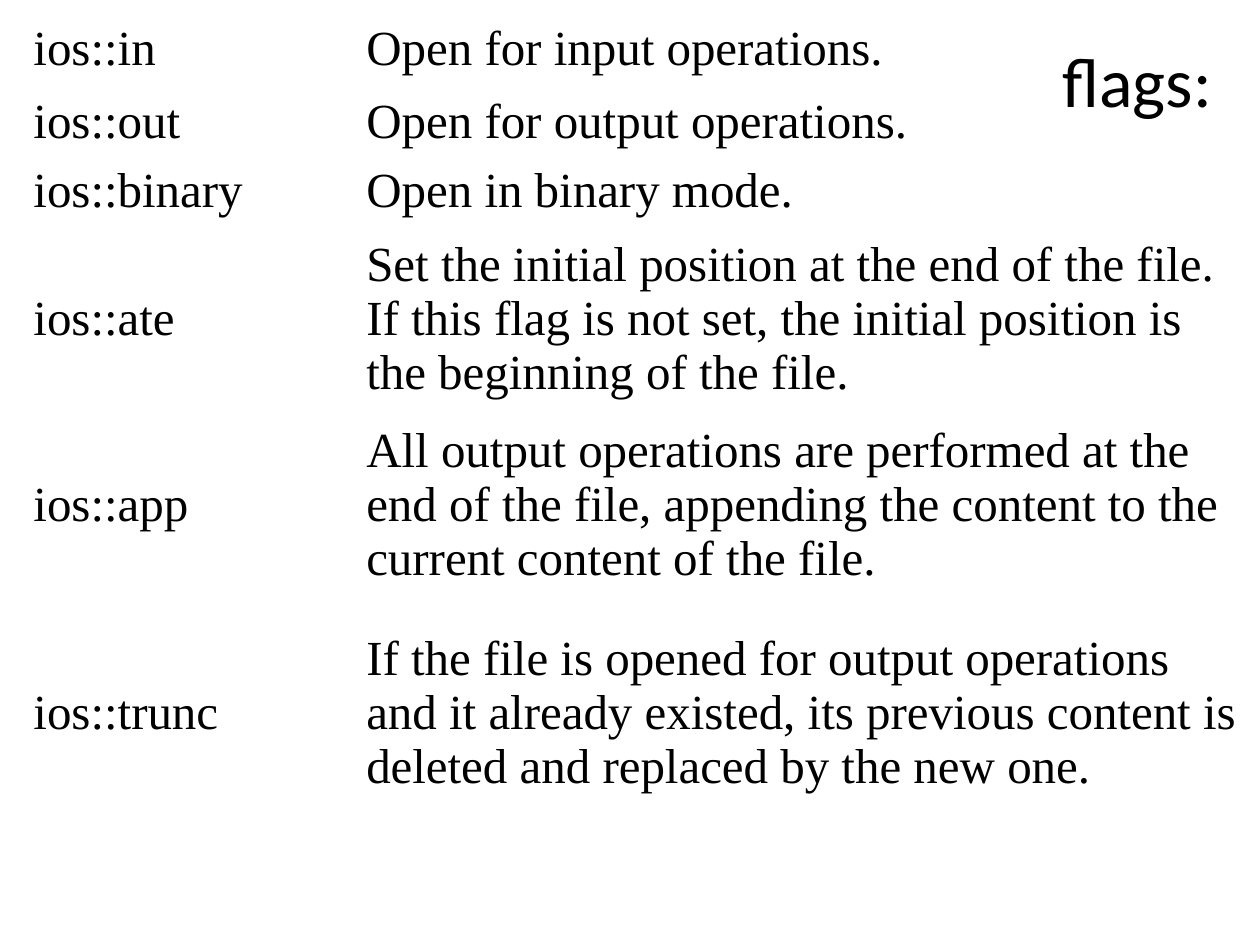
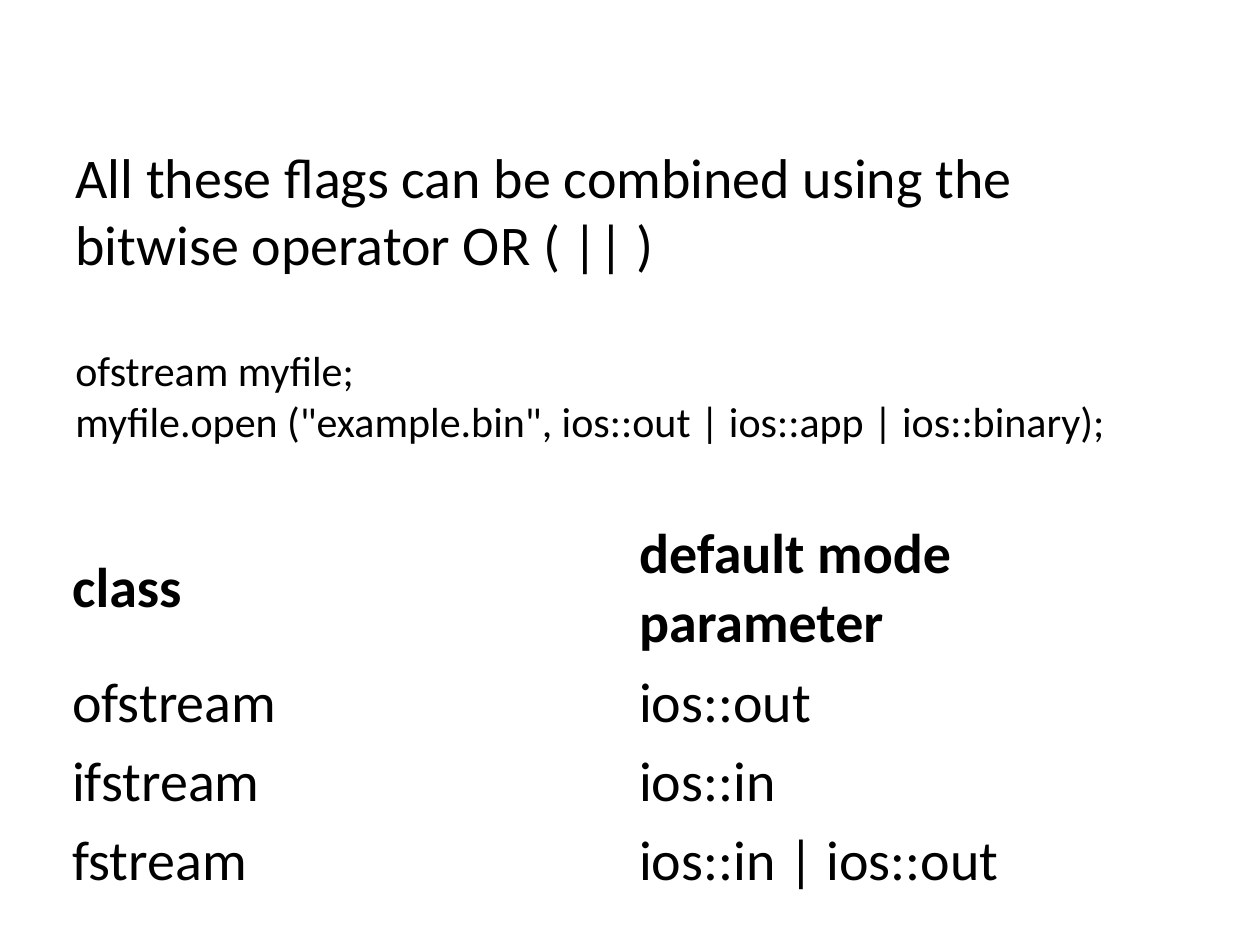
import pptx
import pptx.util
import pptx.dml.color
import pptx.enum.text
import pptx.oxml.ns

Cm = pptx.util.Cm
Pt = pptx.util.Pt
COLORS = {"text": "000000"}
SANS, SERIF = "Calibri", "Times New Roman"
TITLE_ONLY, BLANK = 5, 6
NO_STYLE_NO_GRID = "{2D5ABB26-0587-4C30-8999-92F81FD0307C}"


def style(paragraph, font_name, size, bold=False):
    paragraph.alignment = pptx.enum.text.PP_ALIGN.LEFT
    paragraph.font.name = font_name
    paragraph.font.size = Pt(size)
    paragraph.font.bold = bold
    paragraph.font.color.rgb = pptx.dml.color.RGBColor.from_string(COLORS["text"])


def add_plain_table(slide, rows, position, widths, heights, font_name, size, header=False):
    """Add a table without fills or borders; lengths are in centimetres."""
    left, top = position
    frame = slide.shapes.add_table(len(rows), len(widths), Cm(left), Cm(top),
                                   Cm(sum(widths)), Cm(sum(heights)))
    style_id = next(frame.element.iter(pptx.oxml.ns.qn("a:tableStyleId")))
    style_id.text = NO_STYLE_NO_GRID
    table = frame.table
    table.first_row = header
    table.horz_banding = False
    for column, width in zip(table.columns, widths):
        column.width = Cm(width)
    for r, (texts, height) in enumerate(zip(rows, heights)):
        table.rows[r].height = Cm(height)
        for c, text in enumerate(texts):
            cell = table.cell(r, c)
            cell.fill.background()
            cell.vertical_anchor = pptx.enum.text.MSO_ANCHOR.MIDDLE
            cell.margin_top = cell.margin_bottom = Cm(0.1)
            paragraph = cell.text_frame.paragraphs[0]
            paragraph.text = text
            style(paragraph, font_name, size, bold=header and r == 0)


presentation = pptx.Presentation()
presentation.slide_width = Cm(25.4)
presentation.slide_height = Cm(19.05)

# Slide 1: the file opening flags
flags_slide = presentation.slides.add_slide(presentation.slide_layouts[TITLE_ONLY])
flags = [
    ("ios::in", "Open for input operations."),
    ("ios::out", "Open for output operations."),
    ("ios::binary", "Open in binary mode."),
    ("ios::ate", "Set the initial position at the end of the file.\n"
                 "If this flag is not set, the initial position is the beginning of the file."),
    ("ios::app", "All output operations are performed at the end of the file, "
                 "appending the content to the current content of the file."),
    ("ios::trunc", "If the file is opened for output operations and it already existed, "
                   "its previous content is deleted and replaced by the new one."),
]
add_plain_table(flags_slide, flags, (0.42, 0.2), [6.71, 18.26],
                [1.57, 1.32, 1.32, 3.73, 3.51, 4.62], SERIF, 28)

title = flags_slide.shapes.title
title.left, title.top, title.width, title.height = Cm(21.16), Cm(0.63), Cm(3.56), Cm(1.96)
title.text_frame.text = "flags:"
title.text_frame.word_wrap = False
title.text_frame.auto_size = pptx.enum.text.MSO_AUTO_SIZE.SHAPE_TO_FIT_TEXT
title.text_frame.vertical_anchor = pptx.enum.text.MSO_ANCHOR.TOP
style(title.text_frame.paragraphs[0], SANS, 40)

# Slide 2: combining flags, and the default mode of each class
modes_slide = presentation.slides.add_slide(presentation.slide_layouts[BLANK])
combining = modes_slide.shapes.add_textbox(Cm(1.27), Cm(2.74), Cm(21.39), Cm(6.4)).text_frame
combining.word_wrap = True
lines = [
    ("All these flags can be combined using the bitwise operator OR ( || )", 32, 0),
    ("ofstream myfile;", 24, 39),
    ('myfile.open ("example.bin", ios::out | ios::app | ios::binary);', 24, 0),
]
for i, (text, size, gap) in enumerate(lines):
    paragraph = combining.add_paragraph() if i else combining.paragraphs[0]
    paragraph.text = text
    paragraph.space_before = Pt(gap)
    style(paragraph, SANS, size)

default_modes = [
    ("class", "default mode parameter"),
    ("ofstream", "ios::out"),
    ("ifstream", "ios::in"),
    ("fstream", "ios::in | ios::out"),
]
add_plain_table(modes_slide, default_modes, (1.2, 10.37), [11.43] * 2,
                [3.0] + [1.6] * 3, SANS, 32, header=True)

presentation.save("out.pptx")
